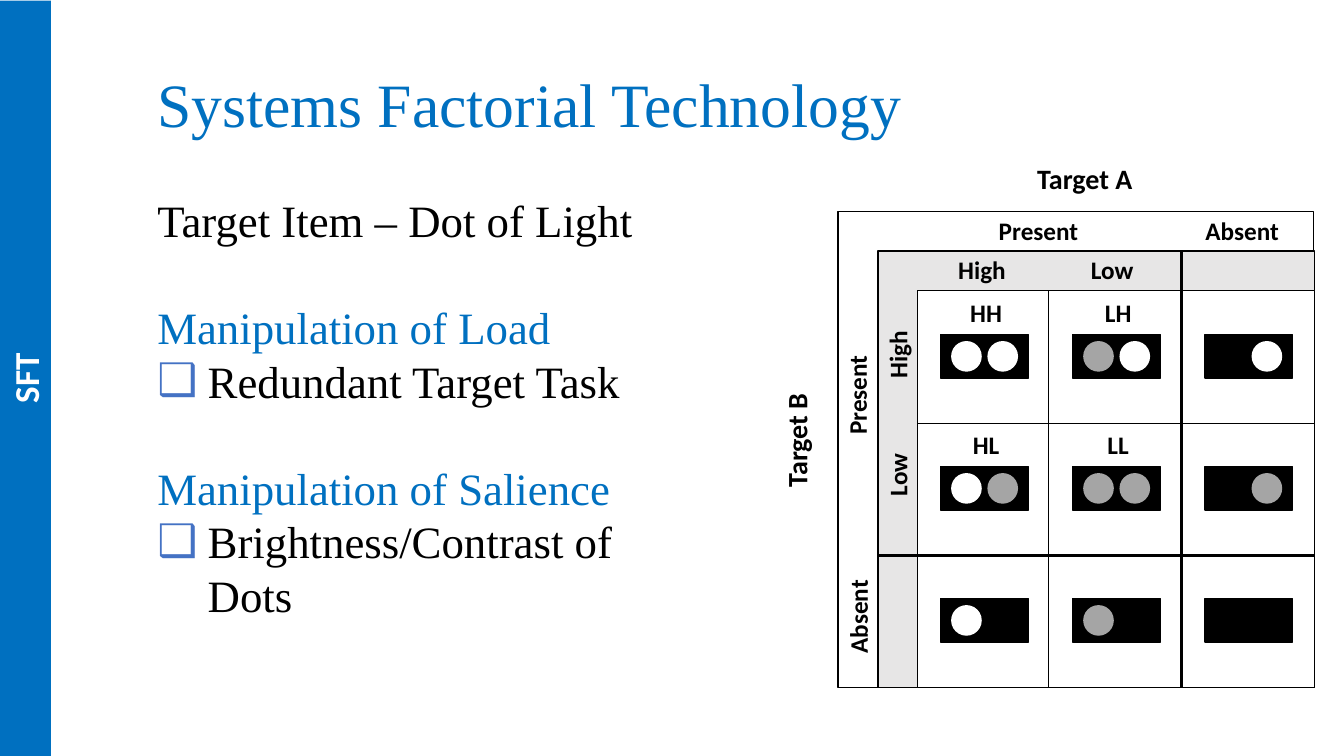
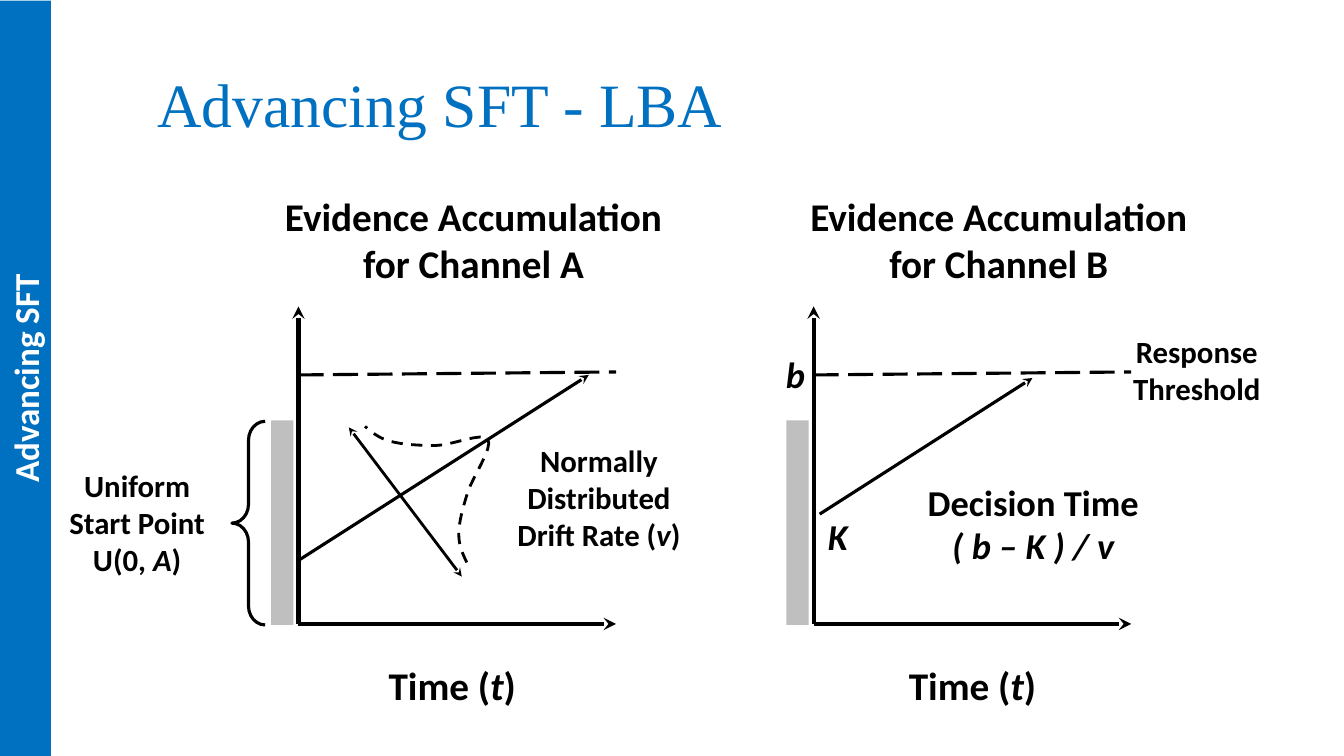
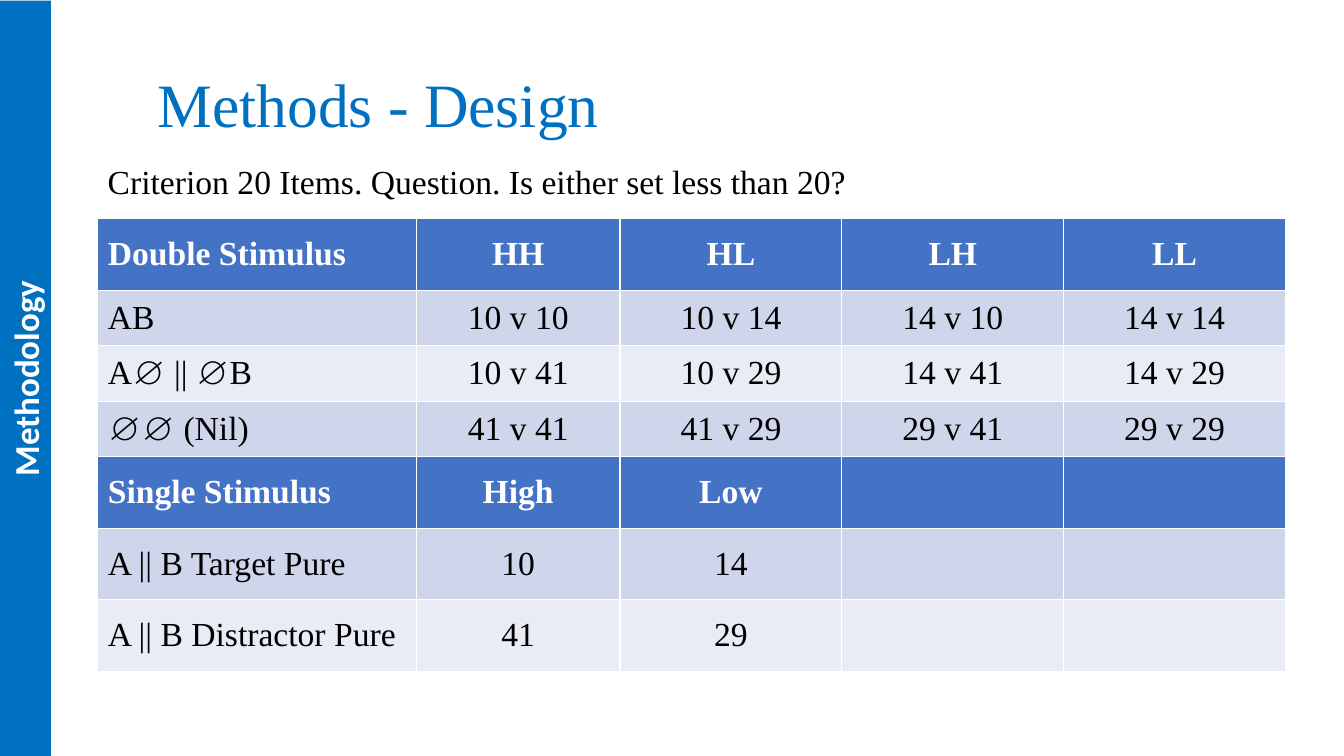
import lxml.etree
import pptx
import pptx.dml.color
import pptx.enum.dml
import pptx.enum.shapes
import pptx.enum.text
import pptx.oxml.ns
import pptx.util

PX = 9144  # 100 px to the inch
BLUE, ACCENT, BLACK, WHITE = "0070C0", "4472C4", "000000", "FFFFFF"
DOT_GRAY, BAR_GRAY, GRID_GRAY = "A5A5A5", "BFBFBF", "E7E6E6"
SERIF, SANS = "Times New Roman", "Calibri"

color = pptx.dml.color.RGBColor.from_string
qn = pptx.oxml.ns.qn
SHAPE = pptx.enum.shapes.MSO_SHAPE
DASH = pptx.enum.dml.MSO_LINE
ALIGN = pptx.enum.text.PP_ALIGN
ANCHOR = pptx.enum.text.MSO_ANCHOR


def add_box(slide, kind, box, text="", size=18, fill=None, line=None, width=1,
            font_color=BLACK, font=SANS, bold=True, align=ALIGN.CENTER, rotation=0):
    """Add a shape, or a text box if kind is None; *stars* enclose italics."""
    left, top, box_width, box_height = [value * PX for value in box]
    if kind is None:
        shape = slide.shapes.add_textbox(left, top, box_width, box_height)
    else:
        shape = slide.shapes.add_shape(kind, left, top, box_width, box_height)
        shape.shadow.inherit = False
    shape.rotation = rotation
    if fill:
        shape.fill.solid()
        shape.fill.fore_color.rgb = color(fill)
    else:
        shape.fill.background()
    if line:
        shape.line.color.rgb = color(line)
        shape.line.width = pptx.util.Pt(width)
    else:
        shape.line.fill.background()
    if text:
        frame = shape.text_frame
        frame.word_wrap = True
        frame.text = text
        for paragraph in frame.paragraphs:
            paragraph.alignment = align
            pieces = paragraph.text.split("*")
            paragraph.text = ""
            for index, piece in enumerate(pieces):
                if piece:
                    run = paragraph.add_run()
                    run.text = piece
                    run.font.name = font
                    run.font.size = pptx.util.Pt(size)
                    run.font.bold = bold
                    run.font.italic = index % 2 == 1
                    run.font.color.rgb = color(font_color)
    return shape


def add_line(slide, start, end, width, dash=None, arrows=()):
    """Add a black line; arrows lists the ends that carry an arrowhead."""
    connector = slide.shapes.add_connector(
        pptx.enum.shapes.MSO_CONNECTOR.STRAIGHT,
        *[value * PX for value in start + end])
    connector.line.color.rgb = color(BLACK)
    connector.line.width = pptx.util.Pt(width)
    if dash:
        connector.line.dash_style = dash
    properties = connector.element.spPr
    for arrow in arrows:
        lxml.etree.SubElement(properties.find(qn("a:ln")), qn("a:" + arrow), type="stealth")
    lxml.etree.SubElement(properties, qn("a:effectLst"))


presentation = pptx.Presentation()
presentation.slide_width = 1333 * PX
presentation.slide_height = 750 * PX

# Shared side band and title
slides = []
for layout, section, heading in [
    (1, "SFT", "Systems Factorial Technology"),
    (5, "Advancing SFT", "Advancing SFT - LBA"),
    (5, "Methodology", "Methods - Design"),
]:
    slide = presentation.slides.add_slide(presentation.slide_layouts[layout])
    slides.append(slide)
    add_box(slide, SHAPE.RECTANGLE, (-350, 350, 750, 51), section, 25,
            fill=BLUE, font_color=WHITE, rotation=270)
    title = slide.shapes.title
    title.left, title.top, title.width, title.height = [
        value * PX for value in (146, 60, 1079, 84)]
    title.text_frame.text = heading
    title.text_frame.vertical_anchor = ANCHOR.TOP
    title.text_frame.auto_size = pptx.enum.text.MSO_AUTO_SIZE.NONE
    paragraph = title.text_frame.paragraphs[0]
    paragraph.alignment = ALIGN.LEFT
    font = paragraph.runs[0].font
    font.name, font.size = SERIF, pptx.util.Pt(44)
    font.color.rgb = color(BLUE)
factorial_slide, accumulator_slide, design_slide = slides

# Slide 1: list
body = factorial_slide.placeholders[1]
body.left, body.top, body.width, body.height = [
    value * PX for value in (146, 186, 540, 443)]
body.text_frame.auto_size = pptx.enum.text.MSO_AUTO_SIZE.NONE
body_lines = [
    ("Target Item – Dot of Light", BLACK, False, 0),
    ("Manipulation of Load", BLUE, False, 38),
    ("Redundant Target Task", BLACK, True, 0),
    ("Manipulation of Salience", BLUE, False, 38),
    ("Brightness/Contrast of Dots", BLACK, True, 0),
]
body.text_frame.text = "\n".join(text for text, *_ in body_lines)
for paragraph, (_, text_color, bullet, gap) in zip(body.text_frame.paragraphs, body_lines):
    properties = paragraph._p.get_or_add_pPr()
    properties.set("marL", str(50 * PX if bullet else 0))
    properties.set("indent", str(-50 * PX if bullet else 0))
    if bullet:
        bullet_color = lxml.etree.SubElement(properties, qn("a:buClr"))
        lxml.etree.SubElement(bullet_color, qn("a:srgbClr"), val=ACCENT)
        lxml.etree.SubElement(properties, qn("a:buChar"), char="❑")
    else:
        lxml.etree.SubElement(properties, qn("a:buNone"))
    paragraph.space_before = pptx.util.Pt(gap)
    font = paragraph.runs[0].font
    font.name, font.size = SERIF, pptx.util.Pt(32)
    font.color.rgb = color(text_color)

# Slide 1: nested frames and rules of the factorial grid
for box, fill in [
    ((831, 210, 472, 472), None),
    ((871, 249, 433, 433), GRID_GRAY),
    ((910, 288, 394, 394), WHITE),
]:
    add_box(factorial_slide, SHAPE.RECTANGLE, box, fill=fill, line=BLACK)
for start, end, width in [
    ((1040, 288), (1040, 682), 0.5),
    ((910, 420), (1303, 420), 0.5),
    ((1172, 249), (1172, 682), 2),
    ((871, 551), (1303, 551), 2),
]:
    add_line(factorial_slide, start, end, width)

# Slide 1: grid labels, placed by their centres
for text, center_x, center_y, size, rotation in [
    ("Target A", 1076, 175, 20, 0),
    ("Present", 1030, 229, 18, 0),
    ("Absent", 1232, 229, 18, 0),
    ("High", 974, 267, 18, 0),
    ("Low", 1103, 267, 18, 0),
    ("Target B", 788, 437, 20, 270),
    ("Present", 850, 392, 18, 270),
    ("Absent", 851, 612, 18, 270),
    ("High", 890, 352, 18, 270),
    ("Low", 890, 471, 18, 270),
]:
    add_box(factorial_slide, None, (center_x - 60, center_y - 20, 120, 40),
            text, size, rotation=rotation)

# Slide 1: stimulus cards; the left dot follows the column, the right dot the row
levels = [("H", WHITE), ("L", DOT_GRAY), ("", None)]
for row, (row_name, row_color) in enumerate(levels):
    for column, (column_name, column_color) in enumerate(levels):
        left, top = 910 + 131 * column, 288 + 131 * row
        add_box(factorial_slide, SHAPE.RECTANGLE, (left + 23, top + 44, 87, 43),
                fill=BLACK, line=BLACK)
        for offset, dot_color in [(34, column_color), (70, row_color)]:
            if dot_color:
                add_box(factorial_slide, SHAPE.OVAL, (left + offset, top + 51, 29, 29),
                        fill=dot_color, line=dot_color)
        if row_name and column_name:
            add_box(factorial_slide, None, (left + 42, top + 2, 52, 40),
                    column_name + row_name, fill=WHITE)

# Slide 2: axes, threshold, start-point bar and captions of both channels
for channel, origin, heading_left, time_left, drift_start, drift_end in [
    ("A", 296, 260, 239, (296, 556), (584, 372)),
    ("B", 807, 781, 755, (813, 510), (1024, 375)),
]:
    for end in [(origin, 304), (origin + 315, 619)]:
        add_line(accumulator_slide, (origin, 619), end, 3, arrows=["tailEnd"])
    add_line(accumulator_slide, (origin, 372), (origin + 315, 369), 2.25, DASH.LONG_DASH)
    add_line(accumulator_slide, drift_start, drift_end, 2.25, arrows=["tailEnd"])
    add_box(accumulator_slide, SHAPE.RECTANGLE, (origin - 27, 417, 22, 203), fill=BAR_GRAY)
    add_box(accumulator_slide, None, (heading_left, 186, 419, 104),
            "Evidence Accumulation for Channel " + channel, 28)
    add_box(accumulator_slide, None, (time_left, 651, 419, 57), "Time (*t*)", 28)

# Slide 2: start-point brace and spread of the drift rate
brace = add_box(accumulator_slide, SHAPE.LEFT_BRACE, (230, 418, 33, 202),
                line=BLACK, width=2.25)
brace.adjustments[0] = 0.57
add_line(accumulator_slide, (346, 424), (458, 572), 2, arrows=["headEnd", "tailEnd"])

curve = [(463, 558), (459, 550), (455, 541), (455, 530), (455, 518), (459, 504),
         (464, 488), (469, 473), (489, 444), (484, 436), (479, 428), (448, 442),
         (432, 442), (416, 442), (399, 441), (388, 438), (376, 435), (369, 429),
         (362, 423)]
steps = 8
points = []
for first in range(0, len(curve) - 1, 3):
    for step in range(1, steps + 1):
        t = step / steps
        weights = [(1 - t) ** 3, 3 * t * (1 - t) ** 2, 3 * t ** 2 * (1 - t), t ** 3]
        points.append([sum(weight * point[axis] * PX for weight, point
                           in zip(weights, curve[first:first + 4])) for axis in (0, 1)])
builder = accumulator_slide.shapes.build_freeform(curve[0][0] * PX, curve[0][1] * PX)
builder.add_line_segments(points, close=False)
bell = builder.convert_to_shape()
bell.shadow.inherit = False
bell.fill.background()
bell.line.color.rgb = color(BLACK)
bell.line.width = pptx.util.Pt(2)
bell.line.dash_style = DASH.DASH

# Slide 2: annotations
for text, box, size in [
    ("Uniform Start Point\nU(0, *A*)", (42, 458, 188, 121), 22),
    ("Normally Distributed Drift Rate (*v*)", (500, 433, 188, 121), 22),
    ("Response Threshold", (1093, 325, 188, 84), 22),
    ("*K*", (737, 505, 188, 54), 26),
    ("*b*", (695, 344, 188, 54), 26),
    ("Decision Time\n*( b – K ) / v*", (842, 471, 366, 98), 26),
]:
    add_box(accumulator_slide, None, box, text, size)

# Slide 3: caption and design table
add_box(design_slide, None, (97, 155, 759, 50),
        "Criterion 20 Items. Question. Is either set less than 20?", 24,
        font=SERIF, bold=False, align=ALIGN.LEFT)
design_rows = [
    ("Double Stimulus", "HH", "HL", "LH", "LL"),
    ("AB", "10 v 10", "10 v 14", "14 v 10", "14 v 14"),
    ("A∅ || ∅B", "10 v 41", "10 v 29", "14 v 41", "14 v 29"),
    ("∅∅ (Nil)", "41 v 41", "41 v 29", "29 v 41", "29 v 29"),
    ("Single Stimulus", "High", "Low", "", ""),
    ("A || B Target Pure", "10", "14", "", ""),
    ("A || B Distractor Pure", "41", "29", "", ""),
]
row_heights = [71, 55, 55, 55, 71, 71, 71]
column_widths = [316, 202, 220, 220, 220]
row_fills = [ACCENT, "CFD5EA", "E9EBF5", "CFD5EA"] * 2
table = design_slide.shapes.add_table(
    len(row_heights), len(column_widths), 97 * PX, 217 * PX,
    sum(column_widths) * PX, sum(row_heights) * PX).table
for column, width in zip(table.columns, column_widths):
    column.width = width * PX
for row_index, texts in enumerate(design_rows):
    table.rows[row_index].height = row_heights[row_index] * PX
    header = row_fills[row_index] == ACCENT
    for column_index, text in enumerate(texts):
        cell = table.cell(row_index, column_index)
        cell.fill.solid()
        cell.fill.fore_color.rgb = color(row_fills[row_index])
        cell.vertical_anchor = ANCHOR.MIDDLE
        cell.text_frame.text = text
        paragraph = cell.text_frame.paragraphs[0]
        paragraph.alignment = ALIGN.CENTER if column_index else ALIGN.LEFT
        for run in paragraph.runs:
            run.font.name, run.font.size = SERIF, pptx.util.Pt(24)
            run.font.bold = header
            run.font.color.rgb = color(WHITE if header else BLACK)

presentation.save("out.pptx")
